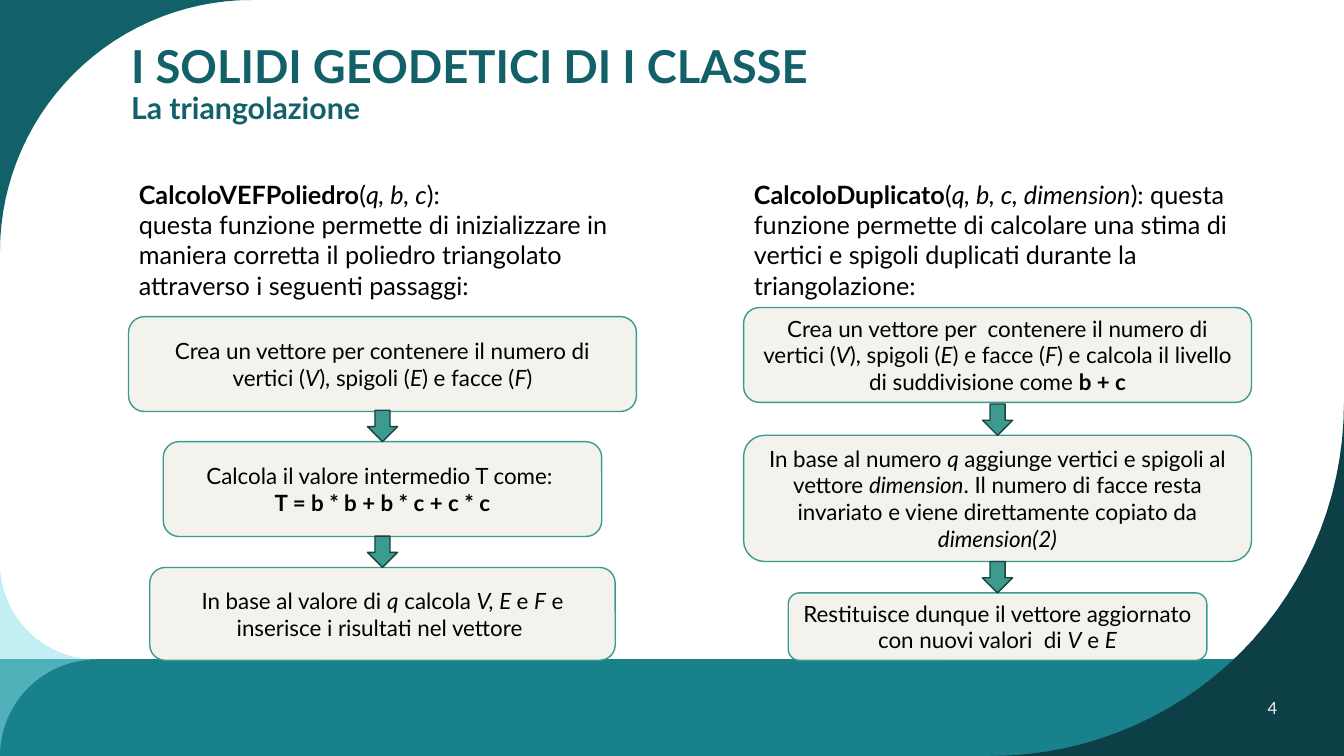
"""Build the slide on the triangulation of class I geodesic solids."""
import math
from dataclasses import dataclass

import lxml.etree
import pptx
import pptx.dml.color
import pptx.enum.shapes
import pptx.enum.text
import pptx.oxml.ns
import pptx.shapes.autoshape
import pptx.slide
import pptx.text.text
import pptx.util

Cm = pptx.util.Cm
Kind = pptx.enum.shapes.MSO_SHAPE
Align = pptx.enum.text.PP_ALIGN
Anchor = pptx.enum.text.MSO_ANCHOR


@dataclass(frozen=True)
class Theme:
    font: str = "Lato"
    ink: str = "000000"
    head: str = "126169"
    band: str = "18818C"
    dark: str = "0C4046"
    pale: str = "89E1EB"
    cream: str = "F4F2EC"
    green: str = "3C9A8F"
    edge: str = "1A433F"
    title: float = 32.4
    sub: float = 21.6
    intro: float = 18
    step: float = 16
    page: float = 12


@dataclass(frozen=True)
class Arc:
    x: float
    y: float
    size: float
    start: int
    end: int


@dataclass(frozen=True)
class Corner:
    tip: tuple[float, float]
    arcs: list[Arc]
    color: str
    alpha: int = 100


@dataclass(frozen=True)
class Step:
    top: float
    width: float
    height: float
    text: str


@dataclass(frozen=True)
class Column:
    left: float
    middle: float
    intro: str
    steps: list[Step]


THEME = Theme()
WIDTH, HEIGHT = 33.87, 19.05
BAND_TOP, BAND_HEIGHT = 16.61, 2.44
ARROW_WIDTH, ARROW_HEIGHT = 0.76, 0.79

CORNERS = [
    Corner((WIDTH, HEIGHT), [Arc(24.98, 10.16, 8.89, 0, 90)], THEME.dark),
    Corner((0, 0), [Arc(6.35, 6.35, 6.35, 180, 270)], THEME.head),
    Corner((0, 14.19), [Arc(2.43, 14.19, 2.43, 180, 90),
                        Arc(2.43, HEIGHT, 2.43, 270, 180)], THEME.pale, 50),
]

COLUMNS = [
    Column(3.25, 9.64,
           "^CalcoloVEFPoliedro^(_q, b, c_):\n"
           "questa funzione permette di inizializzare in maniera corretta il "
           "poliedro triangolato attraverso i seguenti passaggi:",
           [Step(7.98, 12.8, 2.39, "Crea un vettore per contenere il numero di "
                 "vertici (_V_), spigoli (_E_) e facce (_F_)"),
            Step(11.13, 11.05, 2.39, "Calcola il valore intermedio T come: \n"
                 "^T = b * b + b * c + c * c^"),
            Step(14.3, 11.73, 2.34, "In base al valore di _q_ calcola _V, E _e _F_ "
                 "e inserisce i risultati nel vettore ")]),
    Column(18.75, 25.14,
           "^CalcoloDuplicato^(_q, b, c, dimension_): questa funzione permette di "
           "calcolare una stima di vertici e spigoli duplicati durante la "
           "triangolazione:",
           [Step(7.75, 12.8, 2.39, "Crea un vettore per  contenere il numero di "
                 "vertici (_V_), spigoli (_E_) e facce (_F_) e calcola il livello "
                 "di suddivisione come ^b + c^"),
            Step(10.97, 12.8, 3.18, "In base al numero _q_ aggiunge vertici e spigoli "
                 "al vettore _dimension_. Il numero di facce resta invariato e viene "
                 "direttamente copiato da _dimension(2)_"),
            Step(14.94, 10.55, 1.7, "Restituisce dunque il vettore aggiornato con "
                 "nuovi valori  di _V_ e _E_")]),
]


def tint(color: str) -> pptx.dml.color.RGBColor:
    """Turn a hex string into a colour."""
    return pptx.dml.color.RGBColor.from_string(color)


def style(run: pptx.text.text._Run, size: float, color: str,
          bold: bool = False, slant: bool = False) -> None:
    """Format one run."""
    font = run.font
    font.name, font.size = THEME.font, pptx.util.Pt(size)
    font.bold, font.italic = bold, slant
    font.color.rgb = tint(color)


def write(frame: pptx.text.text.TextFrame, text: str, size: float,
          color: str, align: Align) -> None:
    """Write text in which ^ marks bold and _ marks italic."""
    frame.word_wrap = True
    frame.text = text
    for line in frame.paragraphs:
        line.alignment = align
        source = line.text
        line.text = ""
        for i, thick in enumerate(source.split("^")):
            for j, piece in enumerate(thick.split("_")):
                if piece:
                    run = line.add_run()
                    run.text = piece
                    style(run, size, color, i % 2 == 1, j % 2 == 1)


def paint(shape: pptx.shapes.autoshape.Shape, fill: str, edge: str = "") -> None:
    """Give a shape a flat fill and an optional outline."""
    shape.shadow.inherit = False
    shape.fill.solid()
    shape.fill.fore_color.rgb = tint(fill)
    if edge:
        shape.line.color.rgb = tint(edge)
        shape.line.width = pptx.util.Pt(1)
    else:
        shape.line.fill.background()


def block(slide: pptx.slide.Slide, kind: Kind, left: float, top: float, width: float,
          height: float, fill: str, edge: str = "") -> pptx.shapes.autoshape.Shape:
    """Add a painted preset shape."""
    shape = slide.shapes.add_shape(kind, Cm(left), Cm(top), Cm(width), Cm(height))
    paint(shape, fill, edge)
    return shape


def label(slide: pptx.slide.Slide, left: float, top: float, width: float, height: float,
          text: str, size: float, color: str, align: Align) -> pptx.text.text.TextFrame:
    """Add a text box."""
    frame = slide.shapes.add_textbox(Cm(left), Cm(top), Cm(width), Cm(height)).text_frame
    write(frame, text, size, color, align)
    return frame


def draw_corner(slide: pptx.slide.Slide, corner: Corner) -> None:
    """Draw a corner bounded by circular arcs."""
    points = []
    for arc in corner.arcs:
        for n in range(31):
            turn = math.radians(arc.start + (arc.end - arc.start) * n / 30)
            points.append((Cm(arc.x + arc.size * math.cos(turn)),
                           Cm(arc.y + arc.size * math.sin(turn))))
    maker = slide.shapes.build_freeform(Cm(corner.tip[0]), Cm(corner.tip[1]))
    maker.add_line_segments(points, close=True)
    shape = maker.convert_to_shape()
    paint(shape, corner.color)
    if corner.alpha < 100:
        color = shape.fill._xPr.find(".//" + pptx.oxml.ns.qn("a:srgbClr"))
        lxml.etree.SubElement(color, pptx.oxml.ns.qn("a:alpha"),
                              val=str(corner.alpha * 1000))


def draw_column(slide: pptx.slide.Slide, column: Column) -> None:
    """Draw an intro and its chain of steps."""
    label(slide, column.left, 4.39, 12.78, 4.11, column.intro,
          THEME.intro, THEME.ink, Align.LEFT)
    for i, step in enumerate(column.steps):
        box = block(slide, Kind.ROUNDED_RECTANGLE, column.middle - step.width / 2,
                    step.top, step.width, step.height, THEME.cream, THEME.green)
        box.text_frame.vertical_anchor = Anchor.MIDDLE
        write(box.text_frame, step.text, THEME.step, THEME.ink, Align.CENTER)
        if i:
            block(slide, Kind.DOWN_ARROW, column.middle - ARROW_WIDTH / 2,
                  step.top - ARROW_HEIGHT, ARROW_WIDTH, ARROW_HEIGHT,
                  THEME.green, THEME.edge)


def draw_title(slide: pptx.slide.Slide) -> None:
    """Fill the title placeholder."""
    title = slide.shapes.title
    title.left, title.top, title.width, title.height = Cm(3.05), Cm(1.04), Cm(17.86), Cm(2.21)
    frame = title.text_frame
    frame.text = "I SOLIDI GEODETICI DI I CLASSE\vLa triangolazione"
    frame.auto_size = pptx.enum.text.MSO_AUTO_SIZE.NONE
    frame.vertical_anchor = Anchor.MIDDLE
    line = frame.paragraphs[0]
    line.alignment, line.line_spacing = Align.LEFT, 0.9
    for run, size in zip(line.runs, (THEME.title, THEME.sub)):
        style(run, size, THEME.head, bold=True)


def main() -> None:
    """Build and save the deck."""
    deck = pptx.Presentation()
    deck.slide_width, deck.slide_height = Cm(WIDTH), Cm(HEIGHT)
    slide = deck.slides.add_slide(deck.slide_layouts[5])
    block(slide, Kind.RECTANGLE, 0, BAND_TOP, WIDTH, BAND_HEIGHT, THEME.band)
    for corner in CORNERS:
        draw_corner(slide, corner)
    draw_title(slide)
    page = label(slide, 30.27, BAND_TOP, 3.6, BAND_HEIGHT, "4",
                 THEME.page, THEME.cream, Align.CENTER)
    page.vertical_anchor = Anchor.MIDDLE
    for column in COLUMNS:
        draw_column(slide, column)
    deck.save("out.pptx")


if __name__ == "__main__":
    main()
